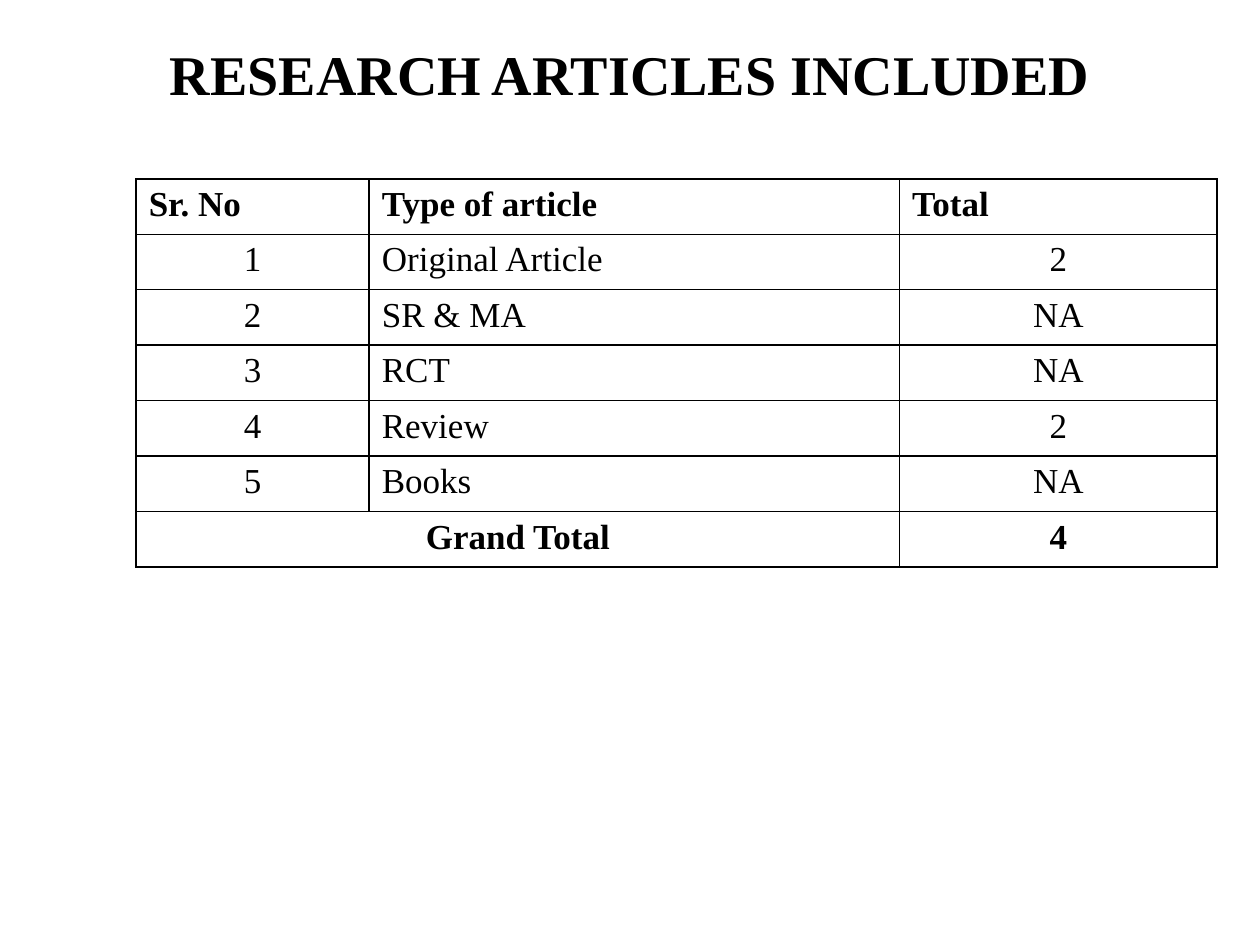
"""Build a slide with a titled summary table of the research articles included."""
from lxml import etree
from pptx import Presentation
from pptx.dml.color import RGBColor
from pptx.enum.text import MSO_ANCHOR, PP_ALIGN
from pptx.oxml.ns import qn
from pptx.util import Pt

LEFT, CENTER, JUSTIFY = PP_ALIGN.LEFT, PP_ALIGN.CENTER, PP_ALIGN.JUSTIFY
TOP, MIDDLE = MSO_ANCHOR.TOP, MSO_ANCHOR.MIDDLE
TITLE_ONLY = 5

COLORS = {"ink": "000000", "paper": "FFFFFF"}
TITLE_FORMAT = {"name": "Times New Roman", "size": Pt(32), "bold": True}
BODY_FORMAT = {"name": "Times New Roman", "size": Pt(20), "bold": False}
STRONG_FORMAT = {**BODY_FORMAT, "bold": True}

HEADINGS = ("Sr. No", "Type of article", "Total")
ARTICLE_TOTALS = (
    ("Original Article", "2"),
    ("SR & MA", "NA"),
    ("RCT", "NA"),
    ("Review", "2"),
    ("Books", "NA"),
)
GRAND_TOTAL = ("Grand Total", "4")
COLUMN_WIDTHS = (133.2, 303.1, 181.4)
ROW_HEIGHT = 31.7


def write_text(frame, text, alignment, formatting):
    paragraph = frame.paragraphs[0]
    paragraph.alignment = alignment
    run = paragraph.add_run()
    run.text = text
    for attribute, value in formatting.items():
        setattr(run.font, attribute, value)
    run.font.color.rgb = RGBColor.from_string(COLORS["ink"])


def add_title(slide, text):
    title = slide.shapes.title
    placement = {"left": Pt(36), "top": Pt(18), "width": Pt(648), "height": Pt(48)}
    for attribute, value in placement.items():
        setattr(title, attribute, value)
    title.text_frame.vertical_anchor = MIDDLE
    write_text(title.text_frame, text, CENTER, TITLE_FORMAT)


def style_cell(cell):
    properties = cell._tc.get_or_add_tcPr()
    for side in ("a:lnL", "a:lnR", "a:lnT", "a:lnB"):
        border = etree.SubElement(properties, qn(side), w=str(Pt(1)))
        fill = etree.SubElement(border, qn("a:solidFill"))
        etree.SubElement(fill, qn("a:srgbClr"), val=COLORS["ink"])
    cell.fill.solid()
    cell.fill.fore_color.rgb = RGBColor.from_string(COLORS["paper"])
    cell.vertical_anchor = TOP


def add_article_table(slide):
    row_count = len(ARTICLE_TOTALS) + 2
    table = slide.shapes.add_table(
        row_count, len(HEADINGS), Pt(77.8), Pt(102.2),
        Pt(sum(COLUMN_WIDTHS)), Pt(row_count * ROW_HEIGHT),
    ).table
    for column, width in zip(table.columns, COLUMN_WIDTHS):
        column.width = Pt(width)
    for row in table.rows:
        row.height = Pt(ROW_HEIGHT)
    for cell in table.iter_cells():
        style_cell(cell)

    for column, heading in enumerate(HEADINGS):
        write_text(table.cell(0, column).text_frame, heading, JUSTIFY, STRONG_FORMAT)
    for number, (article, total) in enumerate(ARTICLE_TOTALS, start=1):
        entries = ((str(number), CENTER), (article, LEFT), (total, CENTER))
        for column, (text, alignment) in enumerate(entries):
            write_text(table.cell(number, column).text_frame, text, alignment, BODY_FORMAT)

    last = row_count - 1
    table.cell(last, 0).merge(table.cell(last, 1))
    for column, text in zip((0, 2), GRAND_TOTAL):
        write_text(table.cell(last, column).text_frame, text, CENTER, STRONG_FORMAT)


def main():
    presentation = Presentation()
    presentation.slide_width = Pt(720)
    presentation.slide_height = Pt(540)
    slide = presentation.slides.add_slide(presentation.slide_layouts[TITLE_ONLY])
    add_title(slide, "RESEARCH ARTICLES INCLUDED")
    add_article_table(slide)
    presentation.save("out.pptx")


if __name__ == "__main__":
    main()
